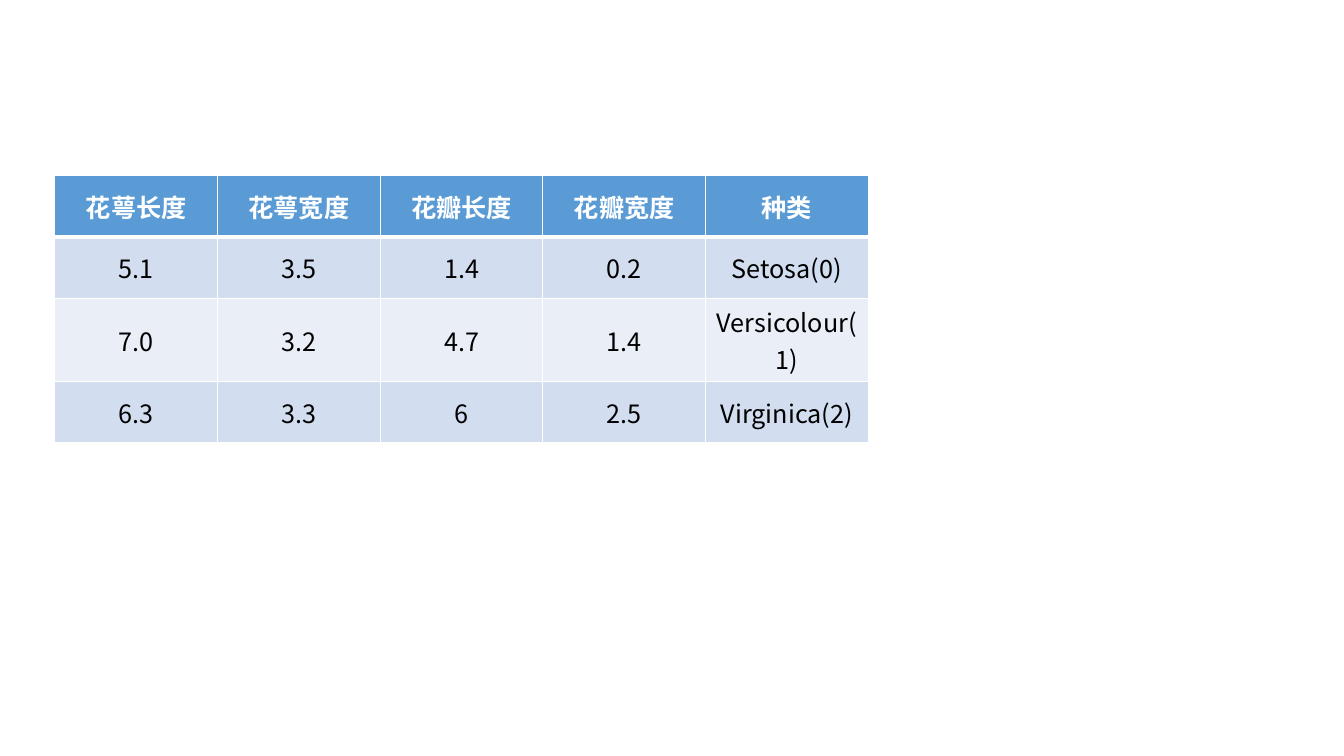
from dataclasses import dataclass

from lxml import etree
from pptx import Presentation
from pptx.dml import color
from pptx.enum import text
from pptx.oxml import ns
from pptx.util import Pt

FONT = "Noto Sans CJK SC"
HEX = {"head": "5B9BD5", "odd": "D2DEEF", "even": "EAEFF7",
       "white": "FFFFFF", "black": "000000"}
COL, ROW = 116.2, 43.9


@dataclass
class Band:
    """Look of one table row."""
    fill: str
    ink: str = "black"
    bold: bool = False
    top: int = 1
    base: int = 1


@dataclass
class Line:
    """One table row with its look."""
    words: tuple[str, ...]
    band: Band


HEAD = Band("head", "white", True, base=3)
LINES = [
    Line(("花萼长度", "花萼宽度", "花瓣长度", "花瓣宽度", "种类"), HEAD),
    Line(("5.1", "3.5", "1.4", "0.2", "Setosa(0)"), Band("odd", top=3)),
    Line(("7.0", "3.2", "4.7", "1.4", "Versicolour(1)"), Band("even")),
    Line(("6.3", "3.3", "6", "2.5", "Virginica(2)"), Band("odd")),
]


def rgb(name: str) -> color.RGBColor:
    return color.RGBColor.from_string(HEX[name])


def edge(cell, side: str, width: int) -> None:
    """Add a white border to one side of a cell."""
    props = cell._tc.get_or_add_tcPr()
    line = etree.SubElement(props, ns.qn(f"a:ln{side}"), w=str(Pt(width)))
    fill = etree.SubElement(line, ns.qn("a:solidFill"))
    etree.SubElement(fill, ns.qn("a:srgbClr"), val=HEX["white"])


def draw(cell, word: str, band: Band) -> None:
    """Write and format one cell; borders come before the fill."""
    for side, width in zip("LRTB", (1, 1, band.top, band.base)):
        edge(cell, side, width)
    cell.fill.solid()
    cell.fill.fore_color.rgb = rgb(band.fill)
    cell.vertical_anchor = text.MSO_ANCHOR.MIDDLE
    cell.text_frame.text = word
    para = cell.text_frame.paragraphs[0]
    para.alignment = text.PP_ALIGN.CENTER
    font = para.runs[0].font
    font.name, font.size, font.bold = FONT, Pt(18), band.bold
    font.color.rgb = rgb(band.ink)
    etree.SubElement(font._element, ns.qn("a:ea"), typeface=FONT)


# Slide
deck = Presentation()
deck.slide_width, deck.slide_height = Pt(960), Pt(540)
slide = deck.slides.add_slide(deck.slide_layouts[6])

# Iris table
rows, cols = len(LINES), len(LINES[0].words)
table = slide.shapes.add_table(
    rows, cols, Pt(39.2), Pt(125.5), Pt(COL * cols), Pt(ROW * rows)).table
for col in table.columns:
    col.width = Pt(COL)
for row, line in zip(table.rows, LINES):
    row.height = Pt(ROW)
    for cell, word in zip(row.cells, line.words):
        draw(cell, word, line.band)

deck.save("out.pptx")
